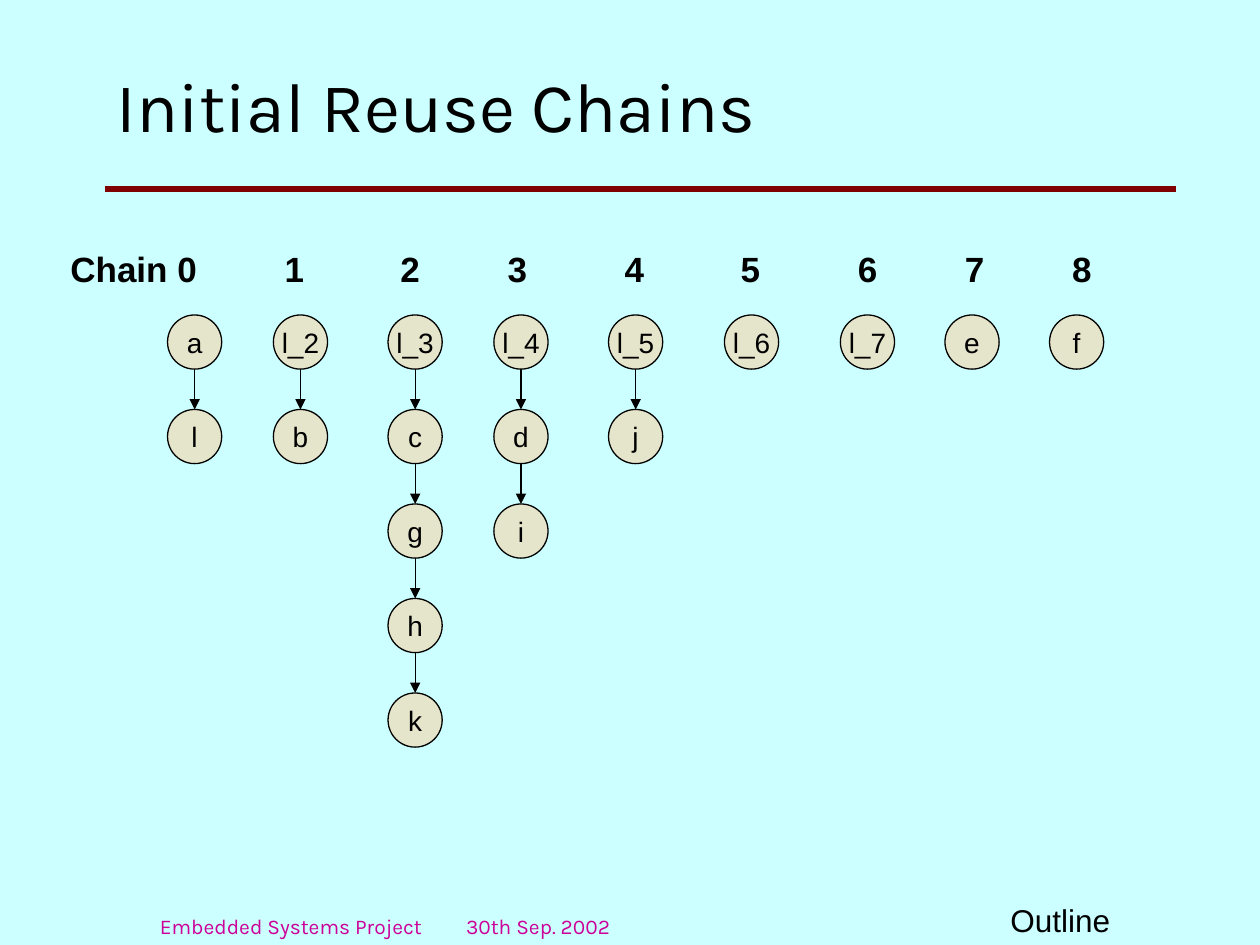
from lxml import etree
from pptx import Presentation
from pptx import util as u
from pptx.dml.color import RGBColor
from pptx.enum import shapes, text
from pptx.oxml.ns import qn


def paint(fill, tint):
    fill.solid()
    fill.fore_color.rgb = RGBColor.from_string(tint)


def write(frame, words, size, face="Arial", tint="000000", bold=False,
          tabs=(), wrap=True, anchor=text.MSO_ANCHOR.BOTTOM):
    frame.word_wrap = wrap
    frame.vertical_anchor = anchor
    para = frame.paragraphs[0]
    if tabs:
        stops = etree.SubElement(para._p.get_or_add_pPr(), qn("a:tabLst"))
        for pos in tabs:
            etree.SubElement(stops, qn("a:tab"), pos=str(u.Inches(pos)), algn="l")
    run = para.add_run()
    run.text = words
    run.font.size = u.Pt(size)
    run.font.name = face
    run.font.bold = bold
    paint(run.font.fill, tint)
    return para


deck = Presentation()
deck.slide_width, deck.slide_height = u.Inches(10), u.Inches(7.5)
slide = deck.slides.add_slide(deck.slide_layouts[6])
paint(slide.background.fill, "CCFFFF")
items = slide.shapes

# Title
box = items.add_textbox(u.Inches(0.83), u.Inches(0.33), u.Inches(7.75), u.Inches(1))
write(box.text_frame, "Initial Reuse Chains", 40, "Karla",
      anchor=text.MSO_ANCHOR.MIDDLE)

# Lines: the title rule first, then one arrow for each step in a chain
chains = [
    (1.33, ["a", "l"]),
    (2.17, ["l_2", "b"]),
    (3.08, ["l_3", "c", "g", "h", "k"]),
    (3.92, ["l_4", "d", "i"]),
    (4.83, ["l_5", "j"]),
    (5.75, ["l_6"]),
    (6.67, ["l_7"]),
    (7.5, ["e"]),
    (8.33, ["f"]),
]
top, step, size = 2.5, 0.75, 0.43
lines = [(0.83, 1.5, 9.33, 1.5, "800000", 3, False)]
for left, names in chains:
    mid = left + size / 2
    for row in range(len(names) - 1):
        y = top + row * step
        lines.append((mid, y + size, mid, y + step, "000000", 0.75, True))

for x1, y1, x2, y2, tint, width, arrow in lines:
    line = items.add_connector(shapes.MSO_CONNECTOR.STRAIGHT, u.Inches(x1),
                               u.Inches(y1), u.Inches(x2), u.Inches(y2))
    paint(line.line.fill, tint)
    line.line.width = u.Pt(width)
    if arrow:
        etree.SubElement(line.line._get_or_add_ln(), qn("a:tailEnd"), type="triangle")
    etree.SubElement(line._element.spPr, qn("a:effectLst"))

# Nodes
for left, names in chains:
    for row, name in enumerate(names):
        node = items.add_shape(shapes.MSO_SHAPE.OVAL, u.Inches(left),
                               u.Inches(top + row * step),
                               u.Inches(size), u.Inches(size))
        node.shadow.inherit = False
        paint(node.fill, "FFCC99")
        tone = node._element.spPr.find(qn("a:solidFill"))[0]
        etree.SubElement(tone, qn("a:alpha"), val="50000")
        paint(node.line.fill, "000000")
        node.line.width = u.Pt(0.75)
        para = write(node.text_frame, name, 16, wrap=False,
                     anchor=text.MSO_ANCHOR.MIDDLE)
        para.alignment = text.PP_ALIGN.CENTER

# Chain numbers
box = items.add_textbox(u.Inches(0.46), u.Inches(1.91), u.Inches(8.32), u.Inches(0.44))
heads = "\t".join(["Chain 0"] + [str(n) for n in range(1, len(chains))])
write(box.text_frame, heads, 20, bold=True,
      tabs=[1.7, 2.62, 3.47, 4.4, 5.32, 6.25, 7.1, 7.95])

# Footer
box = items.add_textbox(u.Inches(1.17), u.Inches(7.17), u.Inches(5.92), u.Inches(0.33))
write(box.text_frame, "Embedded Systems Project\t30th Sep. 2002", 12, "Karla",
      "CC0099", tabs=[2.43])
box = items.add_textbox(u.Inches(7.92), u.Inches(7.1), u.Inches(1.08), u.Inches(0.4))
write(box.text_frame, "Outline", 18)

deck.save("out.pptx")
